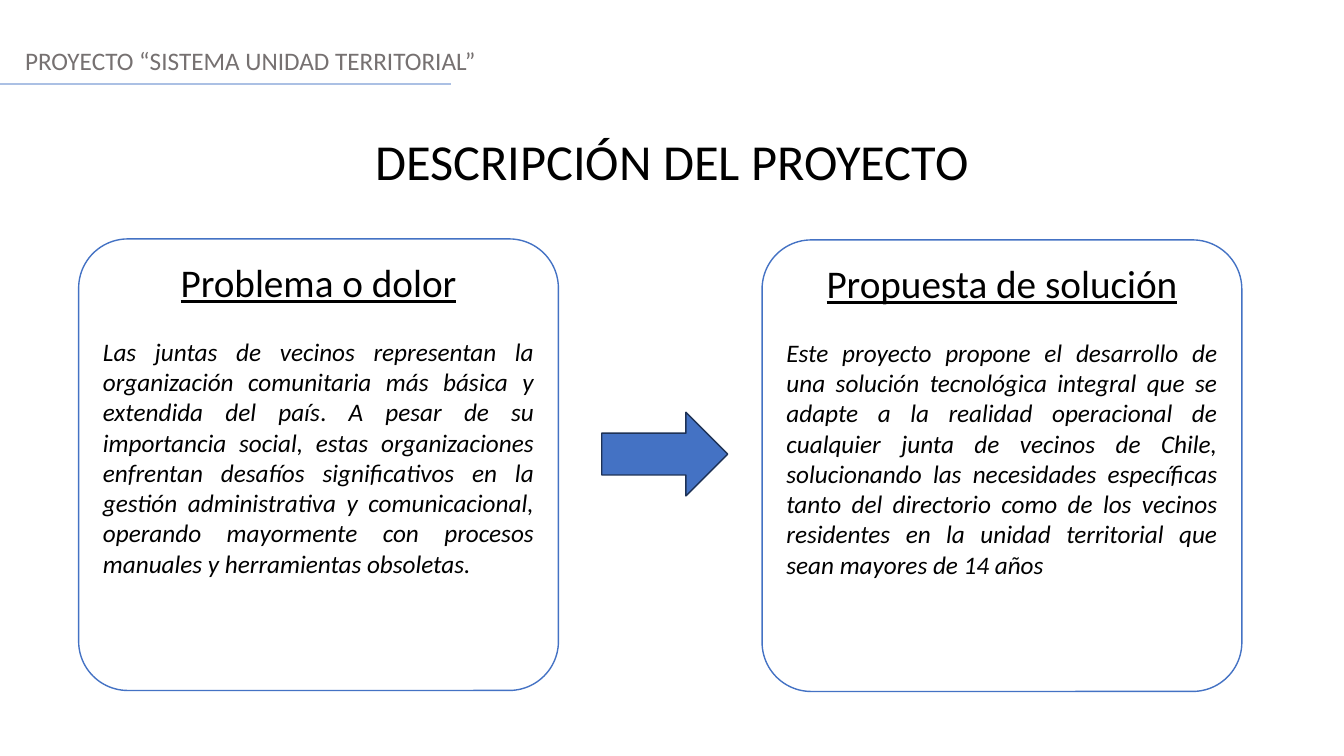
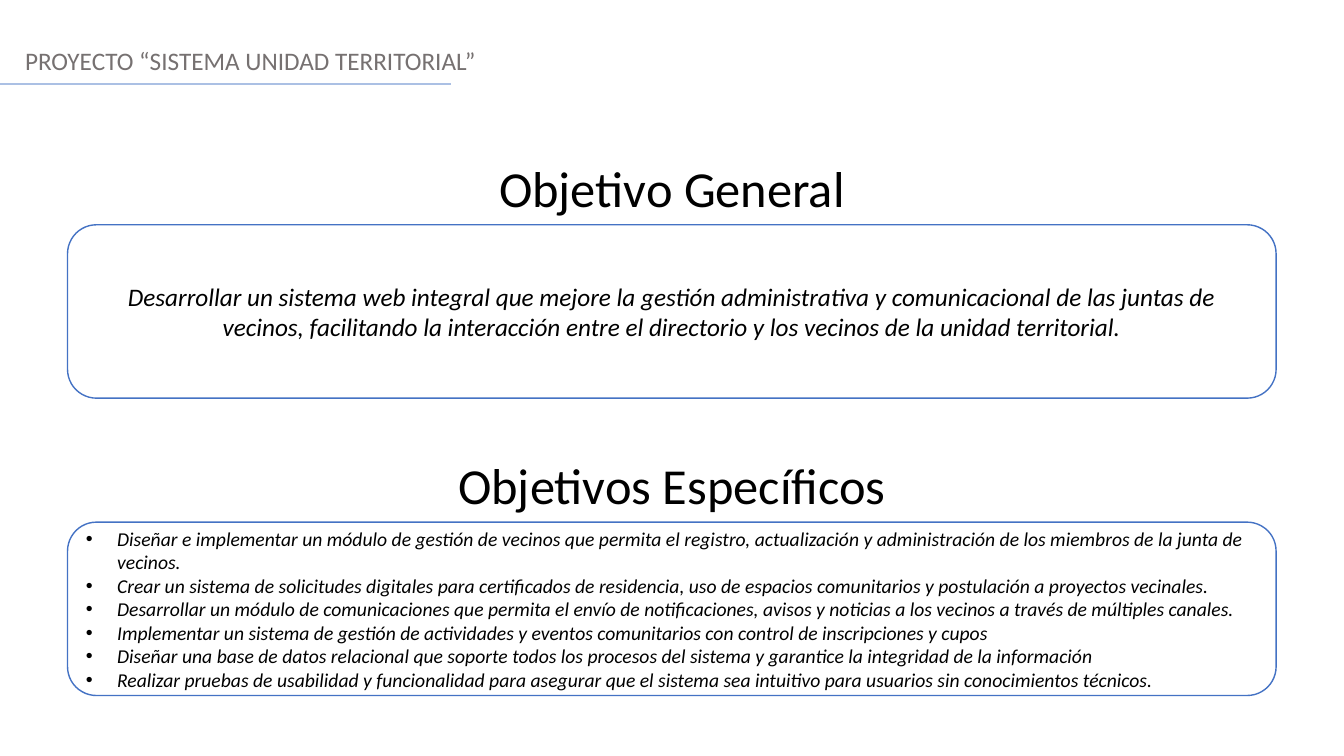
from lxml import etree
from pptx import Presentation
from pptx import util as u
from pptx.dml.color import RGBColor
from pptx.enum import shapes, text
from pptx.oxml.ns import qn

BLACK = RGBColor(0x00, 0x00, 0x00)
WHITE = RGBColor(0xFF, 0xFF, 0xFF)
GREY = RGBColor(0x76, 0x71, 0x71)
BLUE = RGBColor(0x44, 0x72, 0xC4)
NAVY = RGBColor(0x1E, 0x32, 0x56)
PALE = RGBColor(0xAB, 0xC0, 0xE4)
LEFT, MID, JUST = text.PP_ALIGN.LEFT, text.PP_ALIGN.CENTER, text.PP_ALIGN.JUSTIFY
TOP, CENTER = text.MSO_ANCHOR.TOP, text.MSO_ANCHOR.MIDDLE
ROUND = shapes.MSO_SHAPE.ROUNDED_RECTANGLE
ARROW = shapes.MSO_SHAPE.RIGHT_ARROW

deck = Presentation()
deck.slide_width, deck.slide_height = u.Inches(13.33), u.Inches(7.5)
COL, ROW = deck.slide_width / 160, deck.slide_height / 90


def block(slide, kind, x, y, w, h, fill=WHITE, edge=BLUE, anchor=TOP):
    area = [int(n) for n in (x * COL, y * ROW, w * COL, h * ROW)]
    if kind is None:
        shape = slide.shapes.add_textbox(*area)
    else:
        shape = slide.shapes.add_shape(kind, *area)
        shape.shadow.inherit = False
        shape.fill.solid()
        shape.fill.fore_color.rgb = fill
        shape.line.color.rgb = edge
        shape.line.width = u.Pt(1)
    shape.text_frame.word_wrap = True
    shape.text_frame.vertical_anchor = anchor
    return shape


def write(para, words, size, align, color=BLACK, slant=False, under=False):
    para.alignment = align
    run = para.add_run()
    run.text = words
    font = run.font
    font.name, font.size, font.color.rgb = "Calibri", u.Pt(size), color
    font.italic, font.underline = slant, under


pages = []
for heads in (
    [("DESCRIPCIÓN DEL PROYECTO", 14.88)],
    [("Objetivo General", 18.12), ("Objetivos Específicos", 53.52)],
):
    page = deck.slides.add_slide(deck.slide_layouts[6])
    pages.append(page)
    label = block(page, None, 1.8, 4.8, 160, 4.8)
    write(label.text_frame.paragraphs[0], "PROYECTO “SISTEMA UNIDAD TERRITORIAL”", 18, LEFT, GREY)
    rule = page.shapes.add_connector(
        shapes.MSO_CONNECTOR.STRAIGHT, 0, int(10 * ROW), int(53.64 * COL), int(10 * ROW)
    )
    rule.line.color.rgb = PALE
    rule.line.width = u.Pt(1.25)
    etree.SubElement(rule.line._get_or_add_ln().getparent(), qn("a:effectLst"))
    for words, y in heads:
        title = block(page, None, 0, y, 160, 8.52)
        write(title.text_frame.paragraphs[0], words, 36, MID)

first, second = pages

cards = [
    (9.36, 28.44, "Problema o dolor", [
        "Las juntas de vecinos representan la organización comunitaria más básica y extendida del país",
        ". ",
        "A pesar de su importancia social, estas organizaciones enfrentan desafíos significativos en la "
        "gestión administrativa y comunicacional, operando mayormente con procesos manuales y "
        "herramientas obsoletas.",
    ]),
    (90.72, 28.56, "Propuesta de solución", [
        "Este proyecto propone el desarrollo de una solución tecnológica integral que se adapte a la "
        "realidad operacional de cualquier junta de vecinos de Chile, solucionando las necesidades "
        "específicas tanto del directorio como de los vecinos residentes en la unidad territorial que "
        "sean mayores de 14 años",
    ]),
]
for x, y, head, parts in cards:
    card = block(first, ROUND, x, y, 57.12, 53.76)
    card.adjustments[0] = 0.109
    para = card.text_frame.paragraphs[0]
    write(para, head, 28, MID, under=True)
    para.space_after = u.Pt(22)
    para = card.text_frame.add_paragraph()
    for part in parts:
        write(para, part, 18, JUST, slant=part != ". ")

block(first, ARROW, 71.64, 49.08, 15, 9.96, BLUE, NAVY)

goal, tasks = [
    block(second, ROUND, 8.04, y, 143.88, 20.64, anchor=CENTER).text_frame
    for y in (26.76, 62.16)
]
write(
    goal.paragraphs[0],
    "Desarrollar un sistema web integral que mejore la gestión administrativa y comunicacional de las "
    "juntas de vecinos, facilitando la interacción entre el directorio y los vecinos de la unidad "
    "territorial.",
    18, MID, slant=True,
)

items = [
    "Diseñar e implementar un módulo de gestión de vecinos que permita el registro, actualización y "
    "administración de los miembros de la junta de vecinos.",
    "Crear un sistema de solicitudes digitales para certificados de residencia, uso de espacios "
    "comunitarios y postulación a proyectos vecinales.",
    "Desarrollar un módulo de comunicaciones que permita el envío de notificaciones, avisos y noticias "
    "a los vecinos a través de múltiples canales.",
    "Implementar un sistema de gestión de actividades y eventos comunitarios con control de "
    "inscripciones y cupos",
    "Diseñar una base de datos relacional que soporte todos los procesos del sistema y garantice la "
    "integridad de la información",
    "Realizar pruebas de usabilidad y funcionalidad para asegurar que el sistema sea intuitivo para "
    "usuarios sin conocimientos técnicos.",
]
dent = u.Inches(0.31)
for i, item in enumerate(items):
    para = tasks.add_paragraph() if i else tasks.paragraphs[0]
    write(para, item, 14, LEFT, slant=True)
    props = para._p.get_or_add_pPr()
    props.set("marL", str(dent))
    props.set("indent", str(-dent))
    etree.SubElement(props, qn("a:buFont")).set("typeface", "Arial")
    etree.SubElement(props, qn("a:buChar")).set("char", "•")

deck.save("out.pptx")
